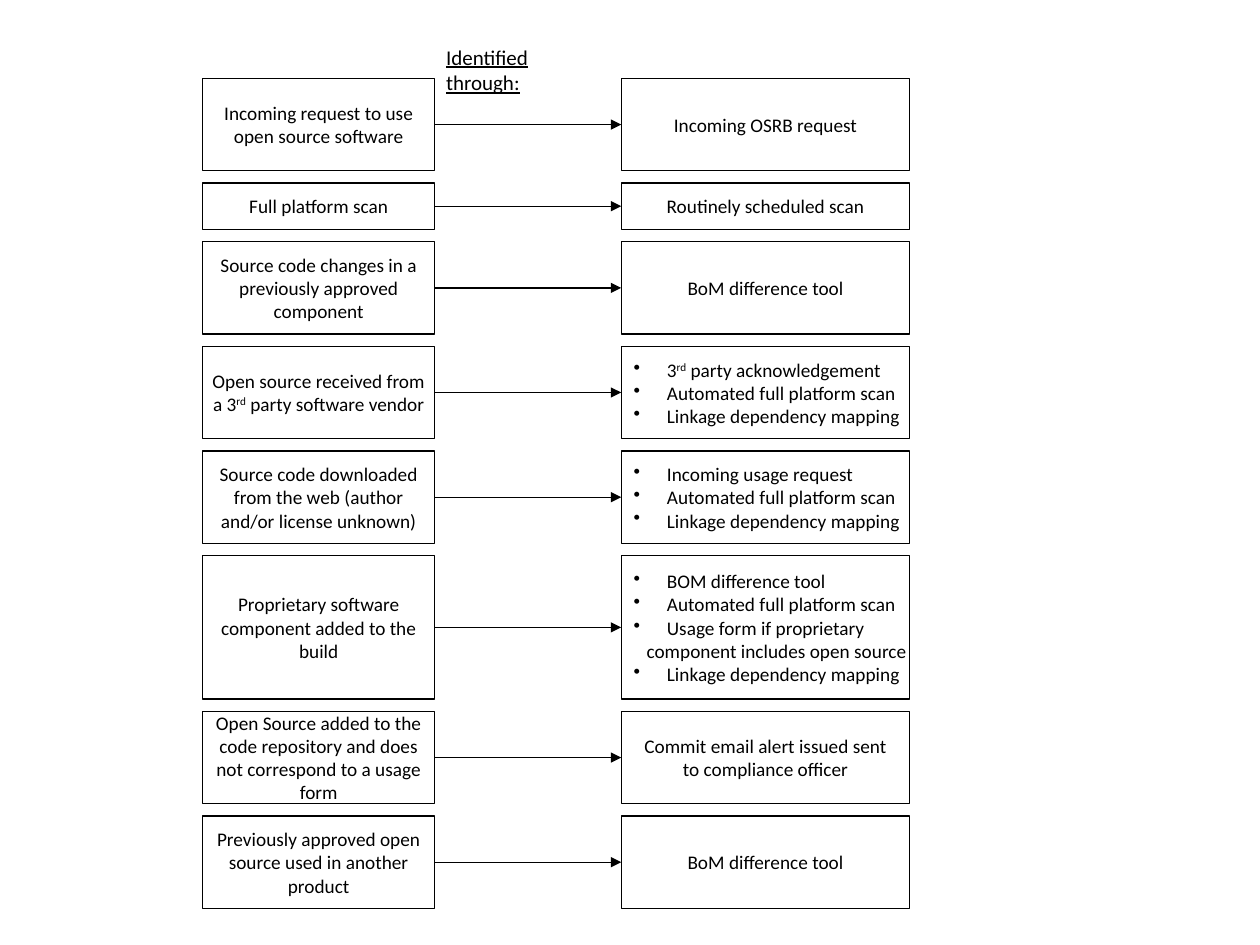
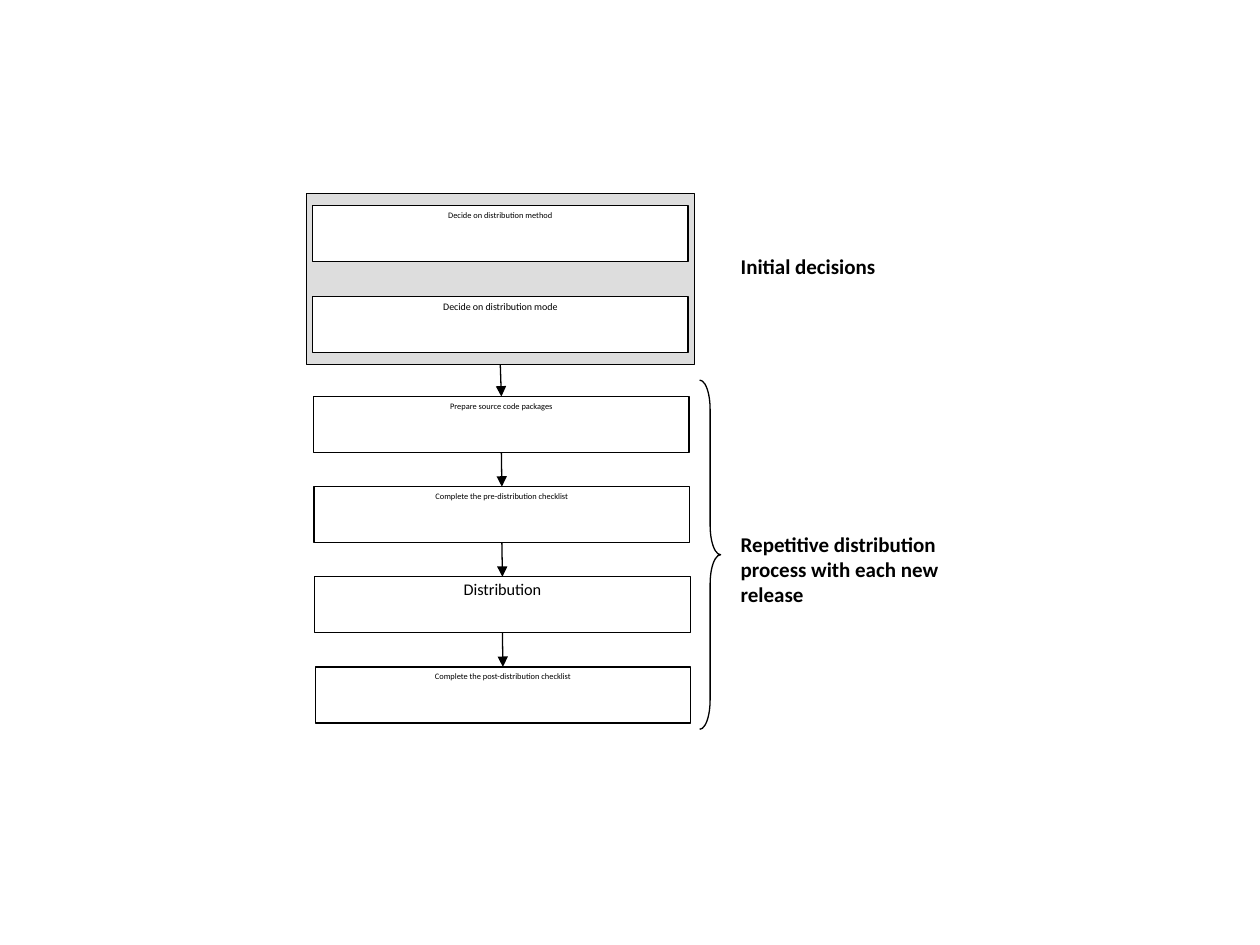
from dataclasses import dataclass

from lxml import etree
from pptx import Presentation
from pptx.dml.color import RGBColor
from pptx.enum import shapes, text
from pptx.oxml import ns
from pptx.util import Pt


@dataclass(frozen=True)
class Theme:
    font: str = "Calibri"
    ink: RGBColor = RGBColor(0, 0, 0)
    paper: RGBColor = RGBColor(255, 255, 255)
    panel: RGBColor = RGBColor(0xDD, 0xDD, 0xDD)
    line: float = 0.75
    body: float = 11
    label: float = 12
    step: float = 4.8
    step_mode: float = 5.7
    step_main: float = 9.3


T = Theme()
TOP, BOTTOM, LEFT, RIGHT = 0, 2, 1, 3  # connection sites of a rectangle

# Discovery rows: box height, trigger lines, ways of identifying it.
# "• " starts a bullet, "> " continues one, ^...^ is superscript.
SCAN, LINKAGE = "• Automated full platform scan", "• Linkage dependency mapping"
ROWS = [
    (52.8, ["Incoming request to use", "open source software"],
     ["Incoming OSRB request"]),
    (26.5, ["Full platform scan"], ["Routinely scheduled scan"]),
    (52.8, ["Source code changes in a", "previously approved", "component"],
     ["BoM difference tool"]),
    (52.8, ["Open source received from", "a 3^rd^ party software vendor"],
     ["• 3^rd^ party acknowledgement", SCAN, LINKAGE]),
    (52.8, ["Source code downloaded", "from the web (author",
            "and/or license unknown)"],
     ["• Incoming usage request", SCAN, LINKAGE]),
    (82, ["Proprietary software", "component added to the", "build"],
     ["• BOM difference tool", SCAN, "• Usage form if proprietary",
      "> component includes open source", LINKAGE]),
    (52.8, ["Open Source added to the", "code repository and does",
            "not correspond to a usage", "form"],
     ["Commit email alert issued sent", "to compliance officer"]),
    (52.8, ["Previously approved open", "source used in another", "product"],
     ["BoM difference tool"]),
]

DECISIONS = [("Decide on distribution method", T.step),
             ("Decide on distribution mode", T.step_mode)]
RELEASE_STEPS = [("Prepare source code packages", T.step),
                 ("Complete the pre-distribution checklist", T.step),
                 ("Distribution", T.step_main),
                 ("Complete the post-distribution checklist", T.step)]


def set_indent(p, margin, hanging=0, bullet=False):
    pPr = p._p.get_or_add_pPr()
    pPr.set("marL", str(Pt(margin)))
    pPr.set("indent", str(-Pt(hanging)))
    if bullet:
        etree.SubElement(pPr, ns.qn("a:buChar")).set("char", "•")


def add_runs(p, line, size, bold=False, underline=False):
    for i, part in enumerate(line.split("^")):
        if not part:
            continue
        r = p.add_run()
        r.text = part
        f = r.font
        f.name, f.size, f.bold, f.underline = T.font, Pt(size), bold, underline
        f.color.rgb = T.ink
        if i % 2:
            r._r.get_or_add_rPr().set("baseline", "30000")


def write(sp, lines, size, align=text.PP_ALIGN.CENTER, spacing=None,
          anchor=text.MSO_ANCHOR.TOP, wrap=False, **style):
    tf = sp.text_frame
    tf.word_wrap = wrap
    tf.auto_size = text.MSO_AUTO_SIZE.NONE
    tf.vertical_anchor = anchor
    tf.margin_left = tf.margin_right = Pt(7.2)
    tf.margin_top = tf.margin_bottom = Pt(3.6)
    for i, line in enumerate(lines):
        p = tf.add_paragraph() if i else tf.paragraphs[0]
        p.alignment = align
        if spacing:
            p.line_spacing = spacing
        if line.startswith("• "):
            set_indent(p, 19, 19, bullet=True)
        elif line.startswith("> "):
            set_indent(p, 7.4)
        add_runs(p, line.removeprefix("• ").removeprefix("> "), size, **style)


def add_outline(s, kind, x, y, w, h, fill=None):
    sp = s.shapes.add_shape(kind, Pt(x), Pt(y), Pt(w), Pt(h))
    sp.shadow.inherit = False
    if fill is None:
        sp.fill.background()
    else:
        sp.fill.solid()
        sp.fill.fore_color.rgb = fill
    sp.line.color.rgb = T.ink
    sp.line.width = Pt(T.line)
    return sp


def add_box(s, x, y, w, h, fill=None):
    return add_outline(s, shapes.MSO_SHAPE.RECTANGLE, x, y, w, h, fill)


def add_arrow(s, start, start_site, end, end_site):
    c = s.shapes.add_connector(shapes.MSO_CONNECTOR.STRAIGHT, 0, 0, 0, 0)
    c.begin_connect(start, start_site)
    c.end_connect(end, end_site)
    c.line.color.rgb = T.ink
    c.line.width = Pt(T.line)
    ln = c.line._get_or_add_ln()
    etree.SubElement(ln, ns.qn("a:tailEnd")).set("type", "triangle")
    etree.SubElement(c._element.spPr, ns.qn("a:effectLst"))


def add_label(s, x, y, w, h, lines):
    sp = s.shapes.add_textbox(Pt(x), Pt(y), Pt(w), Pt(h))
    write(sp, lines, T.label, text.PP_ALIGN.LEFT, bold=True)


def add_step(s, x, y, caption, size):
    sp = add_box(s, x, y, 214.6, 32, T.paper)
    write(sp, [caption], size, spacing=0.8, wrap=True)
    return sp


def build_discovery(prs):
    s = prs.slides.add_slide(prs.slide_layouts[5])

    # Heading over the arrows
    title = s.shapes.title
    title.left, title.top, title.width, title.height = map(
        Pt, (247.7, 21.6, 105.8, 21.6))
    write(title, ["Identified through:"], T.label, text.PP_ALIGN.LEFT,
          underline=True)

    # Trigger on the left, identification on the right
    y, gap = 44.8, 7
    for h, trigger, found_by in ROWS:
        source = add_box(s, 115.9, y, 132.5, h)
        target = add_box(s, 355, y, 164.9, h)
        write(source, trigger, T.body, anchor=text.MSO_ANCHOR.MIDDLE)
        is_list = found_by[0].startswith("•")
        align = text.PP_ALIGN.LEFT if is_list else text.PP_ALIGN.CENTER
        write(target, found_by, T.body, align, anchor=text.MSO_ANCHOR.MIDDLE)
        add_arrow(s, source, RIGHT, target, LEFT)
        y += h + gap


def build_distribution(prs):
    s = prs.slides.add_slide(prs.slide_layouts[6])

    # Initial decisions
    panel = add_box(s, 175, 110.7, 221.8, 97.6, T.panel)
    for i, (caption, size) in enumerate(DECISIONS):
        add_step(s, 178.6, 117.4 + i * 52.2, caption, size)
    add_label(s, 416.2, 141.1, 91.4, 21.6, ["Initial decisions"])

    # Steps repeated with each release
    previous = panel
    for i, (caption, size) in enumerate(RELEASE_STEPS):
        step = add_step(s, 179.2 + i * 0.3, 226.6 + i * 51.5, caption, size)
        add_arrow(s, previous, BOTTOM, step, TOP)
        previous = step
    brace = add_outline(s, shapes.MSO_SHAPE.RIGHT_BRACE, 399.8, 217.2, 12, 199.6)
    brace.adjustments[0] = 1.4
    add_label(s, 416.2, 300.2, 127.4, 50.4,
              ["Repetitive distribution", "process with each new", "release"])


def main():
    prs = Presentation()
    prs.slide_width, prs.slide_height = Pt(720), Pt(540)
    build_discovery(prs)
    build_distribution(prs)
    prs.save("out.pptx")


if __name__ == "__main__":
    main()
